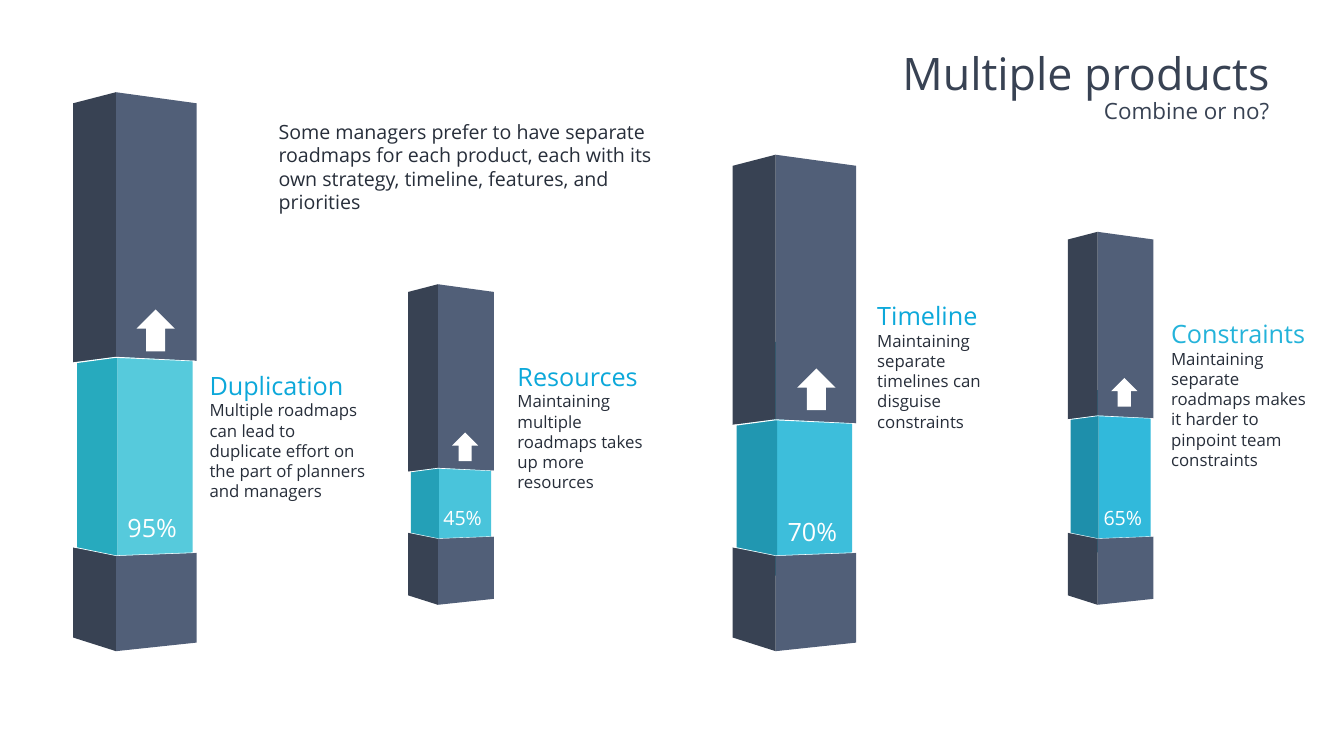
"""Build the slide of four pillar gauges comparing combined and separate roadmaps."""
import pptx
import pptx.util
import pptx.dml.color
import pptx.enum.shapes
import pptx.enum.text

PX = 9144
FONT = "Open Sans"
HEX = {
    "front": "515F78", "side": "384253", "rim": "FFFFFF", "white": "FFFFFF",
    "title": "384253", "body": "272E3A", "blue": "0CA8DA", "sky": "24B3DA",
}

BIG = {"scale": 1, "floor": 1292, "size": 36, "arrow": (76, 83)}
SMALL = {"scale": 0.694, "floor": 1200, "size": 28, "arrow": (52, 57)}

PILLARS = [
    {"kind": BIG, "edge": 230, "top": 183, "front": "56CADC", "side": "27AABE",
     "arrow": (271, 614), "value": "95%", "value_at": (243, 1012, 118, 71),
     "head": "Duplication", "tint": "blue", "text_at": (406, 729, 333, 232),
     "text": "Multiple roadmaps can lead to duplicate effort on the part of planners and managers"},
    {"kind": SMALL, "edge": 869, "top": 564, "front": "49C4DB", "side": "24A0B7",
     "arrow": (897, 858), "value": "45%", "value_at": (870, 999, 97, 57),
     "head": "Resources", "tint": "blue", "text_at": (1017, 711, 304, 192),
     "text": "Maintaining multiple roadmaps takes up more resources"},
    {"kind": BIG, "edge": 1539, "top": 307, "front": "3DBEDB", "side": "2197B1",
     "arrow": (1582, 731), "value": "70%", "value_at": (1553, 1019, 118, 71),
     "head": "Timeline", "tint": "blue", "text_at": (1731, 591, 273, 232),
     "text": "Maintaining separate timelines can disguise constraints"},
    {"kind": SMALL, "edge": 2178, "top": 460, "front": "31B9DB", "side": "1E8FAB",
     "arrow": (2205, 750), "value": "65%", "value_at": (2180, 999, 97, 57),
     "head": "Constraints", "tint": "sky", "text_at": (2314, 627, 288, 273),
     "text": "Maintaining separate roadmaps makes it harder to pinpoint team constraints"},
]

GAUGE = [
    ("front", [(152, -168), (152, -595), (3, -614), (3, -171)]),
    ("side", [(3, -150), (3, -614), (-77, -602), (-77, -151)]),
]
BASE = [
    ("front", [(0, -189), (0, 0), (160, -17), (160, -195)]),
    ("side", [(-85, -206), (-85, -27), (0, 0), (0, -189)]),
    ("rim", [(-85, -206), (-82, -207), (0, -190), (0, -189)]),
    ("rim", [(160, -195), (157, -196), (0, -190), (0, -189)]),
]
CAP = [
    ("front", [(160, 533), (160, 22), (0, 0), (0, 525)]),
    ("side", [(0, 525), (0, 0), (-85, 22), (-85, 536)]),
    ("rim", [(-85, 536), (-82, 538), (0, 527), (0, 525)]),
    ("rim", [(160, 533), (157, 534), (0, 527), (0, 525)]),
]

INTRO = ("Some managers prefer to have separate roadmaps for each product, "
         "each with its own strategy, timeline, features, and priorities")


def emu(*nums):
    return [pptx.util.Emu(round(n * PX)) for n in nums]


def rgb(code):
    return pptx.dml.color.RGBColor.from_string(code)


def paint(shape, code):
    shape.shadow.inherit = False
    shape.fill.solid()
    shape.fill.fore_color.rgb = rgb(code)
    shape.line.fill.background()


def add_block(slide, faces, x, y, scale, tints):
    group = slide.shapes.add_group_shape()
    for face, points in faces:
        spots = [emu(x + dx * scale, y + dy * scale) for dx, dy in points]
        pen = group.shapes.build_freeform(*spots[0])
        pen.add_line_segments(spots[1:], close=True)
        paint(pen.convert_to_shape(), tints[face])


def add_text(slide, at, lines, wrap=True, grow=True, align=None, space=None):
    box = slide.shapes.add_textbox(*emu(*at))
    frame = box.text_frame
    frame.word_wrap = wrap
    if grow:
        frame.auto_size = pptx.enum.text.MSO_AUTO_SIZE.SHAPE_TO_FIT_TEXT
    for i, (text, size, tint) in enumerate(lines):
        para = frame.add_paragraph() if i else frame.paragraphs[0]
        para.alignment = align
        para.line_spacing = space
        run = para.add_run()
        run.text = text
        run.font.name = FONT
        run.font.size = pptx.util.Pt(size)
        run.font.color.rgb = rgb(HEX[tint])


def add_pillar(slide, item):
    kind = item["kind"]
    x, scale = item["edge"], kind["scale"]
    add_block(slide, GAUGE, x, kind["floor"], scale, item)
    add_block(slide, BASE, x, kind["floor"], scale, HEX)
    add_text(slide, item["value_at"], [(item["value"], kind["size"], "white")], wrap=False)
    add_block(slide, CAP, x, item["top"], scale, HEX)
    arrow = slide.shapes.add_shape(pptx.enum.shapes.MSO_SHAPE.UP_ARROW,
                                   *emu(*item["arrow"], *kind["arrow"]))
    paint(arrow, HEX["white"])
    add_text(slide, item["text_at"],
             [(item["head"], 36, item["tint"]), (item["text"], 24, "body")])


def main():
    deck = pptx.Presentation()
    deck.slide_width, deck.slide_height = emu(2667, 1500)
    slide = deck.slides.add_slide(deck.slide_layouts[6])
    for item in PILLARS:
        add_pillar(slide, item)
    add_text(slide, (543, 232, 778, 151), [(INTRO, 28, "body")])
    add_text(slide, (1547, 98, 982, 154),
             [("Multiple products", 64, "title"), ("Combine or no?", 32, "title")],
             grow=False, align=pptx.enum.text.PP_ALIGN.RIGHT, space=0.9)
    deck.save("out.pptx")


if __name__ == "__main__":
    main()
